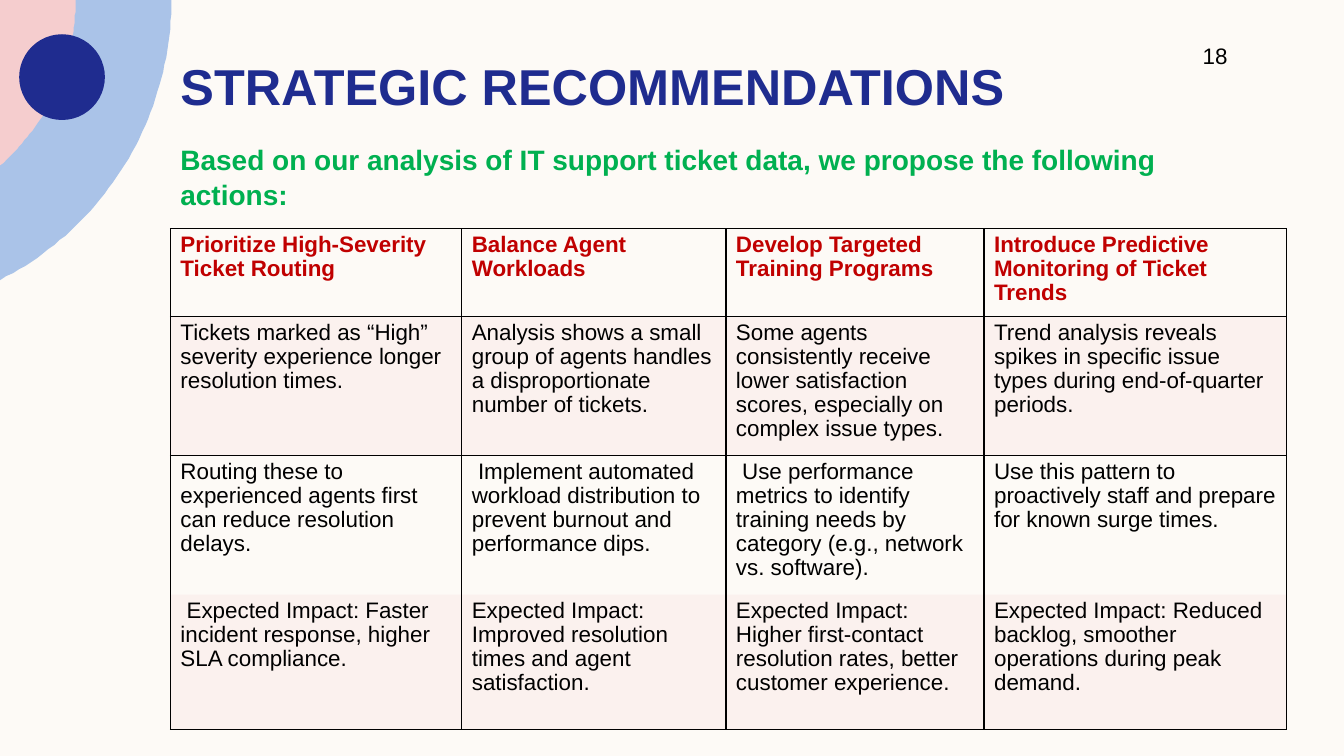
from math import acos, cos, sin
from lxml.etree import SubElement
from pptx import Presentation
from pptx.dml.color import RGBColor
from pptx.enum.shapes import MSO_SHAPE
from pptx.enum.text import MSO_ANCHOR, PP_ALIGN
from pptx.oxml.ns import qn
from pptx.util import Pt

PX = 9144  # 100 px to the inch
COLORS = {"paper": "FDFAF6", "sky": "AAC3E8", "rose": "F5CDCE", "navy": "1F2C8F",
          "red": "C00000", "green": "00B050", "black": "000000"}
FORMATS = {
    "title": ("navy", {"size": Pt(36), "bold": True}),
    "intro": ("green", {"size": Pt(20), "bold": True}),
    "head": ("red", {"size": Pt(16), "bold": True}),
    "body": ("black", {"size": Pt(16), "bold": False}),
}
ROWS = [
    ["Prioritize High-Severity Ticket Routing",
     "Balance Agent Workloads",
     "Develop Targeted Training Programs",
     "Introduce Predictive Monitoring of Ticket Trends"],
    ["Tickets marked as “High” severity experience longer resolution times.",
     "Analysis shows a small group of agents handles a disproportionate number of tickets.",
     "Some agents consistently receive lower satisfaction scores, especially on complex issue types.",
     "Trend analysis reveals spikes in specific issue types during end-of-quarter periods."],
    ["Routing these to experienced agents first can reduce resolution delays.",
     " Implement automated workload distribution to prevent burnout and performance dips.",
     " Use performance metrics to identify training needs by category (e.g., network vs. software).",
     "Use this pattern to proactively staff and prepare for known surge times."],
    [" Expected Impact: Faster incident response, higher SLA compliance.",
     "Expected Impact: Improved resolution times and agent satisfaction.",
     "Expected Impact: Higher first-contact resolution rates, better customer experience.",
     "Expected Impact: Reduced backlog, smoother operations during peak demand."],
]
WIDTHS = [289, 262, 256, 300]
HEIGHTS = [84, 133, 134, 134]


def paint(shape, color):
    shape.fill.solid()
    shape.fill.fore_color.rgb = RGBColor.from_string(COLORS[color])
    shape.line.fill.background()
    shape.shadow.inherit = False


def write(frame, text, style, spacing=1.0):
    color, values = FORMATS[style]
    frame.word_wrap = True
    para = frame.paragraphs[0]
    para.alignment = PP_ALIGN.LEFT
    para.line_spacing = spacing
    run = para.add_run()
    run.text = text
    run.font.name = "Arial"
    run.font.color.rgb = RGBColor.from_string(COLORS[color])
    for key, value in values.items():
        setattr(run.font, key, value)


deck = Presentation()
deck.slide_width, deck.slide_height = 1333 * PX, 750 * PX
slide = deck.slides.add_slide(deck.slide_layouts[5])
shapes = slide.shapes
slide.background.fill.solid()
slide.background.fill.fore_color.rgb = RGBColor.from_string(COLORS["paper"])

# Concentric discs centred left of the slide, cut off at its edge
center, steps = -142, 48
for radius, color in [(312, "sky"), (217, "rose")]:
    sweep = acos(-center / radius)
    arc = [(center + radius * cos(sweep * i / steps), radius * sin(sweep * i / steps))
           for i in range(steps + 1)]
    outline = shapes.build_freeform(0, 0, scale=PX)
    outline.add_line_segments(arc, close=True)
    paint(outline.convert_to_shape(), color)
dot = shapes.add_shape(MSO_SHAPE.OVAL, 19 * PX, 34 * PX, 85 * PX, 85 * PX)
paint(dot, "navy")

title = shapes.title
box = {"left": 169, "top": 48, "width": 1080, "height": 73}
for key, value in box.items():
    setattr(title, key, value * PX)
frame = title.text_frame
frame.margin_top = frame.margin_bottom = 0
frame.vertical_anchor = MSO_ANCHOR.MIDDLE
write(frame, "STRATEGIC RECOMMENDATIONS", "title")

intro = shapes.add_textbox(169 * PX, 134 * PX, 1043 * PX, 44 * PX)
write(intro.text_frame, "Based on our analysis of IT support ticket data, "
      "we propose the following actions:", "intro", 1.06)
number = shapes.add_textbox(1183 * PX, 37 * PX, 59 * PX, 37 * PX)
write(number.text_frame, "18", "body")

table = shapes.add_table(len(ROWS), len(WIDTHS), 169 * PX, 227 * PX,
                         sum(WIDTHS) * PX, sum(HEIGHTS) * PX).table
table.horz_banding = False
for col, width in zip(table.columns, WIDTHS):
    col.width = width * PX
for row, height in zip(table.rows, HEIGHTS):
    row.height = height * PX

open_sides = {(2, "B"), (3, "T")}  # no rule above the expected impact
for r, texts in enumerate(ROWS):
    for c, text in enumerate(texts):
        cell = table.cell(r, c)
        write(cell.text_frame, text, "body" if r else "head", 0.96)
        props = cell._tc.get_or_add_tcPr()
        for side in "LRTB":
            line = SubElement(props, qn(f"a:ln{side}"), w=str(Pt(1)))
            if (r, side) in open_sides:
                SubElement(line, qn("a:noFill"))
            else:
                solid = SubElement(line, qn("a:solidFill"))
                SubElement(solid, qn("a:srgbClr"), val=COLORS["black"])
        if r % 2:
            cell.fill.solid()
            cell.fill.fore_color.rgb = RGBColor.from_string(COLORS["rose"])
            tint = props.find(qn("a:solidFill")).find(qn("a:srgbClr"))
            SubElement(tint, qn("a:alpha"), val="20000")
        else:
            cell.fill.background()

deck.save("out.pptx")
